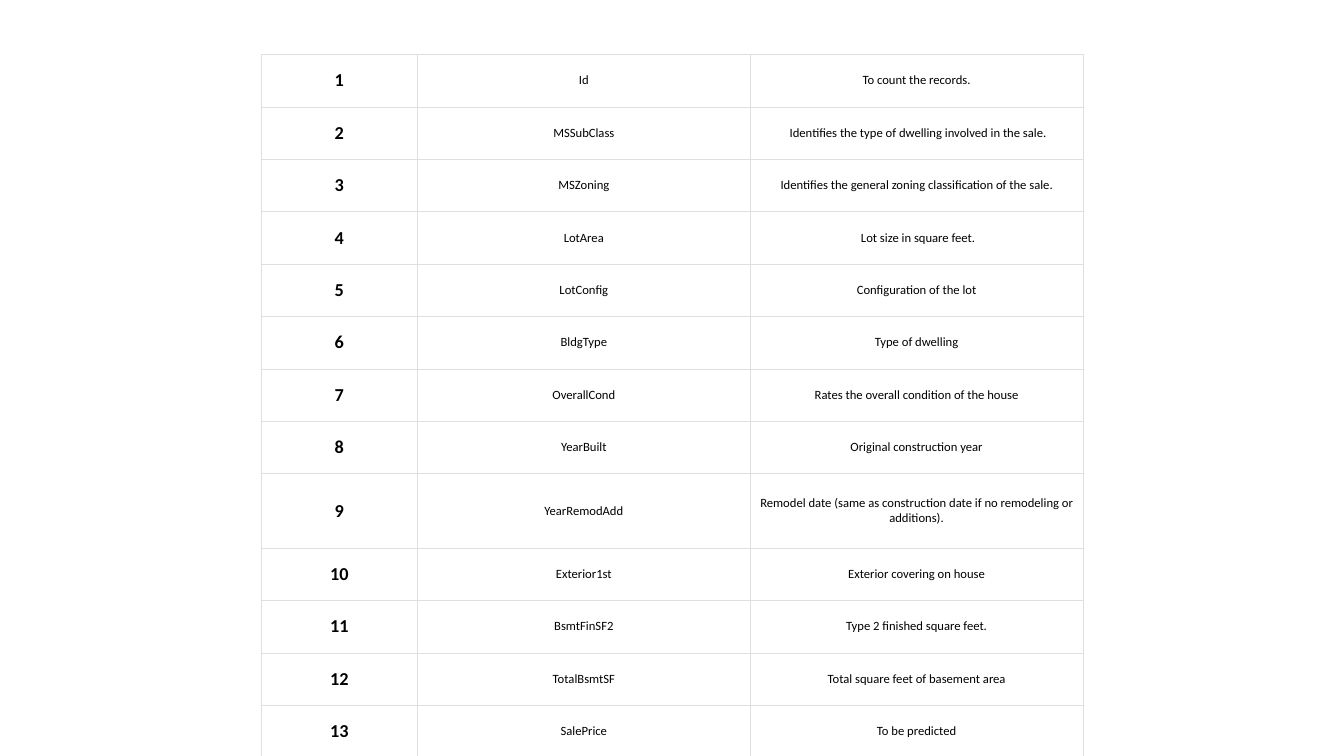
"""Build a slide with a table describing the fields of a house price data set."""
import lxml.etree
import pptx
import pptx.dml.color
import pptx.enum.text
import pptx.oxml.ns
import pptx.util

Inches = pptx.util.Inches
BLACK = pptx.dml.color.RGBColor(0x00, 0x00, 0x00)
WHITE = pptx.dml.color.RGBColor(0xFF, 0xFF, 0xFF)
BORDER_GREY = pptx.dml.color.RGBColor(0xDF, 0xDF, 0xDF)
BORDER_WIDTH = pptx.util.Pt(0.23)

COLUMN_WIDTHS = [1.55, 3.3, 3.3]
ROW_HEIGHT = 0.52
TALL_ROW_HEIGHT = 0.74
TALL_FIELD = "YearRemodAdd"
FIELDS = [
    ("Id", "To count the records."),
    ("MSSubClass", "\u00a0Identifies the type of dwelling involved in the sale."),
    ("MSZoning", "Identifies the general zoning classification of the sale."),
    ("LotArea", "\u00a0Lot size in square feet."),
    ("LotConfig", "Configuration of the lot"),
    ("BldgType", "Type of dwelling"),
    ("OverallCond", "Rates the overall condition of the house"),
    ("YearBuilt", "Original construction year"),
    ("YearRemodAdd", "Remodel date (same as construction date if no remodeling or additions)."),
    ("Exterior1st", "Exterior covering on house"),
    ("BsmtFinSF2", "Type 2 finished square feet."),
    ("TotalBsmtSF", "Total square feet of basement area"),
    ("SalePrice", "To be predicted"),
]


def add_border(cell):
    """Draw a thin grey line on all four sides of a cell."""
    properties = cell._tc.get_or_add_tcPr()
    qualify = pptx.oxml.ns.qn
    for side in ("a:lnL", "a:lnR", "a:lnT", "a:lnB"):
        line = lxml.etree.SubElement(properties, qualify(side), w=str(BORDER_WIDTH))
        fill = lxml.etree.SubElement(line, qualify("a:solidFill"))
        lxml.etree.SubElement(fill, qualify("a:srgbClr"), val=str(BORDER_GREY))


def write_cell(cell, text, size=9, bold=False, side_margin=0.07, end_margin=0.1):
    """Fill a cell with centred text."""
    add_border(cell)
    cell.fill.solid()
    cell.fill.fore_color.rgb = WHITE
    cell.margin_left = cell.margin_right = Inches(side_margin)
    cell.margin_top = cell.margin_bottom = Inches(end_margin)
    cell.vertical_anchor = pptx.enum.text.MSO_ANCHOR.MIDDLE
    para = cell.text_frame.paragraphs[0]
    para.alignment = pptx.enum.text.PP_ALIGN.CENTER
    span = para.add_run()
    span.text = text
    span.font.name = "Calibri"
    span.font.size = pptx.util.Pt(size)
    span.font.bold = bold
    span.font.color.rgb = BLACK


deck = pptx.Presentation()
deck.slide_width = Inches(13.33)
deck.slide_height = Inches(7.5)
page = deck.slides.add_slide(deck.slide_layouts[6])

row_heights = [TALL_ROW_HEIGHT if name == TALL_FIELD else ROW_HEIGHT for name, _ in FIELDS]
frame = page.shapes.add_table(
    len(FIELDS), len(COLUMN_WIDTHS), Inches(2.59), Inches(0.54),
    Inches(sum(COLUMN_WIDTHS)), Inches(sum(row_heights)))
table = frame.table
table.first_row = False
table.horz_banding = False
for column, width in zip(table.columns, COLUMN_WIDTHS):
    column.width = Inches(width)
for row, height in zip(table.rows, row_heights):
    row.height = Inches(height)

for index, (name, description) in enumerate(FIELDS):
    write_cell(table.cell(index, 0), str(index + 1), size=13, bold=True,
               side_margin=0.03, end_margin=0.05)
    write_cell(table.cell(index, 1), name)
    write_cell(table.cell(index, 2), description)

deck.save("out.pptx")
